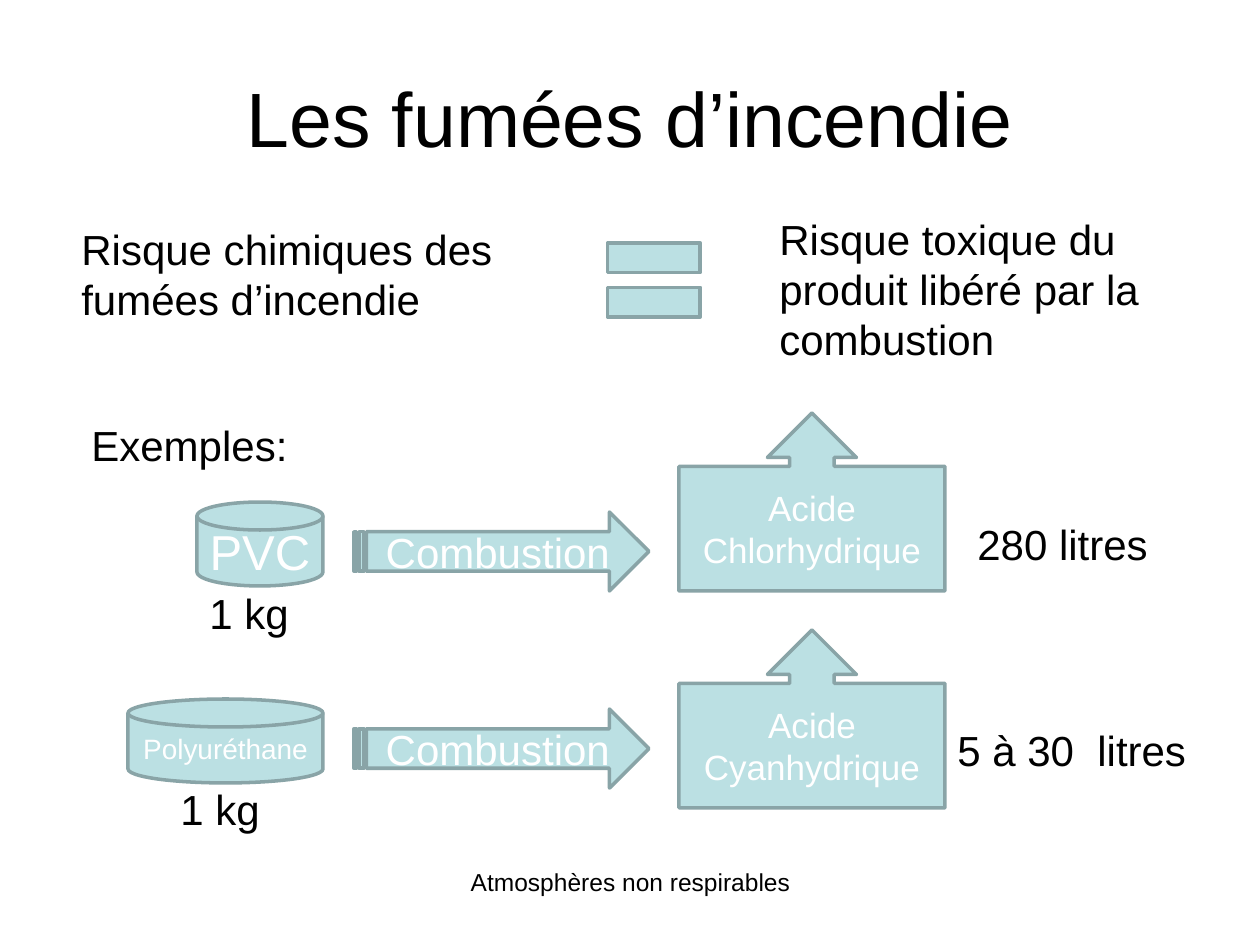
from pptx import Presentation
from pptx.dml.color import RGBColor
from pptx.enum.shapes import MSO_SHAPE
from pptx.enum.text import MSO_ANCHOR, MSO_AUTO_SIZE, PP_ALIGN
from pptx.util import Emu, Pt

EMU_PER_PX = 914400 / 126
BLACK, WHITE = "000000", "FFFFFF"
AQUA, SLATE = "BBE0E3", "89A4A7"


def px(length):
    return Emu(round(length * EMU_PER_PX))


def color(hex_value):
    return RGBColor.from_string(hex_value)


def write(frame, text, size=24, ink=BLACK, align=PP_ALIGN.LEFT,
          anchor=MSO_ANCHOR.TOP, wrap=True):
    frame.word_wrap = wrap
    frame.vertical_anchor = anchor
    paragraph = frame.paragraphs[0]
    paragraph.alignment = align
    run = paragraph.add_run()
    run.text = text
    run.font.name = "Arial"
    run.font.size = Pt(size)
    run.font.color.rgb = color(ink)


def add_text(slide, box, text, grow=True, **text_format):
    frame = slide.shapes.add_textbox(*map(px, box)).text_frame
    write(frame, text, **text_format)
    if grow:
        frame.auto_size = MSO_AUTO_SIZE.SHAPE_TO_FIT_TEXT


def add_symbol(slide, preset, box, text=None, **text_format):
    symbol = slide.shapes.add_shape(preset, *map(px, box))
    symbol.shadow.inherit = False
    symbol.fill.solid()
    symbol.fill.fore_color.rgb = color(AQUA)
    symbol.line.color.rgb = color(SLATE)
    symbol.line.width = Pt(2)
    if text:
        write(symbol.text_frame, text, ink=WHITE, align=PP_ALIGN.CENTER,
              anchor=MSO_ANCHOR.MIDDLE, **text_format)
    return symbol


def add_example(slide, top, material, material_left, material_size,
                acid, acid_top):
    """One row: a material burns and releases an acid."""
    material_box = (material_left, top, 323 - material_left, 84)
    add_symbol(slide, MSO_SHAPE.FLOWCHART_MAGNETIC_DISK, material_box,
               material, size=material_size, wrap=False)
    add_symbol(slide, MSO_SHAPE.STRIPED_RIGHT_ARROW, (354, top + 10, 295, 79),
               "Combustion", wrap=False)
    release = add_symbol(slide, MSO_SHAPE.UP_ARROW_CALLOUT,
                         (679, acid_top, 266, 178), acid, size=20)
    for index, ratio in enumerate((0.25, 0.25, 0.25, 0.7)):
        release.adjustments[index] = ratio


def main():
    presentation = Presentation()
    presentation.slide_width, presentation.slide_height = px(1260), px(945)
    slide = presentation.slides.add_slide(presentation.slide_layouts[6])

    # Title and footer
    add_text(slide, (63, 38, 1134, 158), "Les fumées d’incendie", grow=False,
             size=44, align=PP_ALIGN.CENTER, anchor=MSO_ANCHOR.MIDDLE)
    add_text(slide, (431, 861, 399, 66), "Atmosphères non respirables",
             grow=False, size=14, align=PP_ALIGN.CENTER)

    # Chemical risk equals toxic risk
    add_text(slide, (69, 217, 501, 113),
             "Risque chimiques des fumées d’incendie")
    add_symbol(slide, MSO_SHAPE.MATH_EQUAL, (591, 217, 126, 126))
    add_text(slide, (767, 207, 403, 164),
             "Risque toxique du produit libéré par la combustion")

    # Examples
    add_text(slide, (79, 413, 236, 63), "Exemples:")
    add_example(slide, 502, "PVC", 197, 28, "Acide Chlorhydrique", 413)
    add_example(slide, 699, "Polyuréthane", 128, 16, "Acide Cyanhydrique", 630)

    # Quantities burnt and released
    add_text(slide, (197, 581, 137, 63), "1 kg")
    add_text(slide, (965, 512, 256, 63), "280 litres")
    add_text(slide, (168, 777, 118, 63), "1 kg")
    add_text(slide, (945, 718, 266, 63), "5 à 30  litres")

    presentation.save("out.pptx")


if __name__ == "__main__":
    main()
